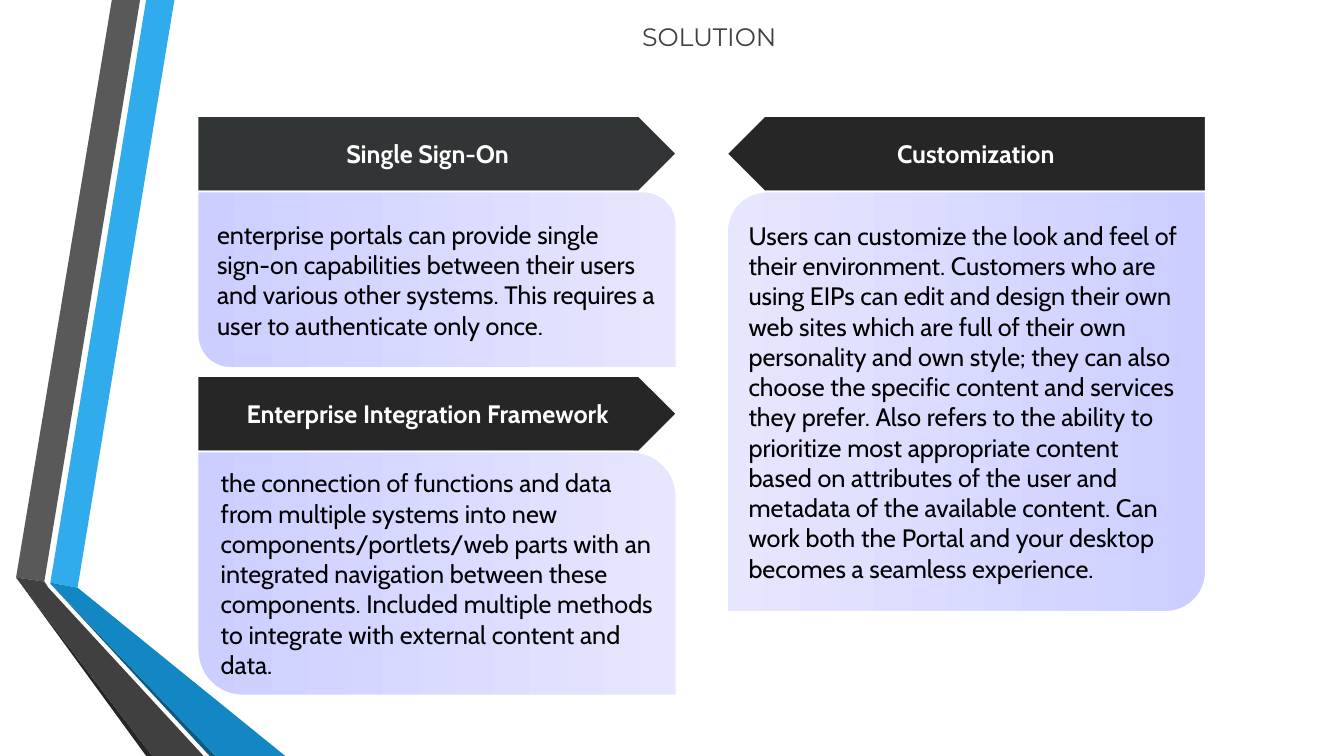
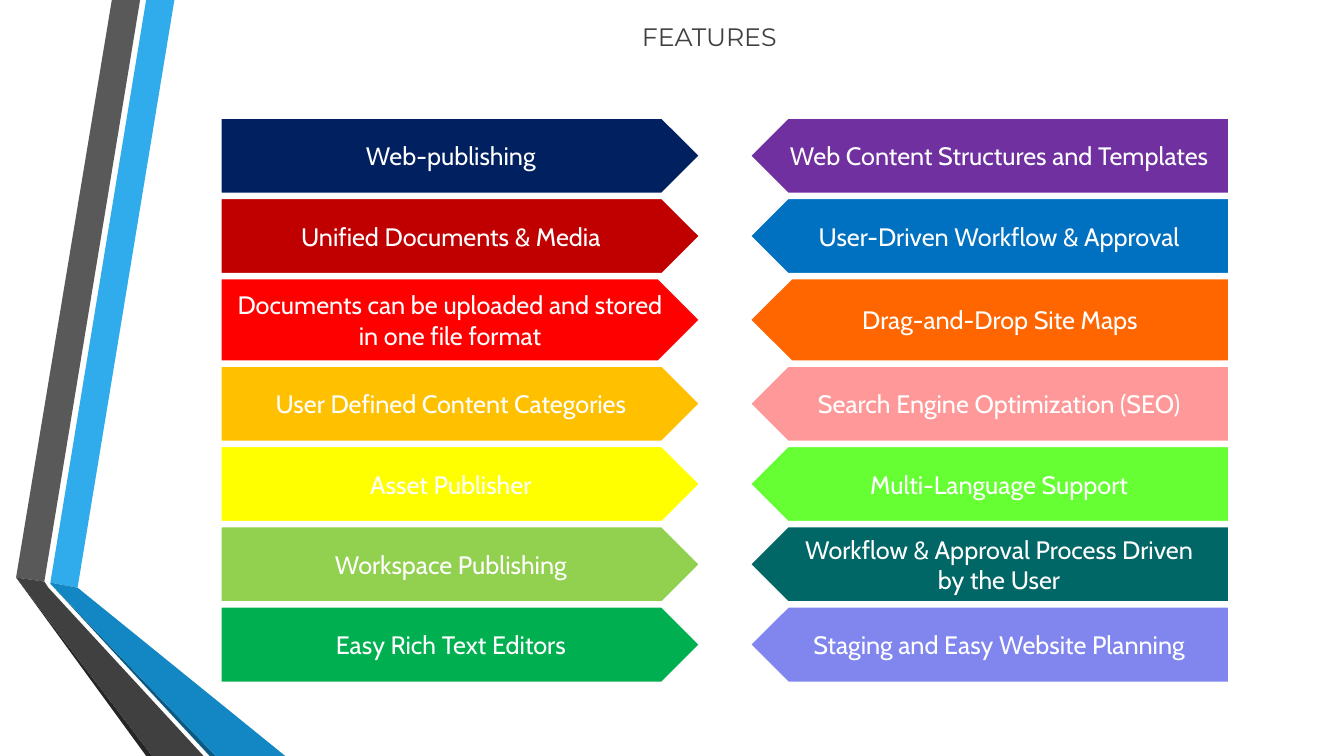
from pptx import Presentation
from pptx.dml.color import RGBColor
from pptx.enum.shapes import MSO_SHAPE as Preset
from pptx.enum.text import MSO_ANCHOR as Anchor, MSO_AUTO_SIZE as AutoSize, PP_ALIGN as Align
from pptx.util import Inches, Pt

WHITE = RGBColor(0xFF, 0xFF, 0xFF)
BLACK = RGBColor(0x00, 0x00, 0x00)
SKY = RGBColor(0x30, 0xAC, 0xEC)
BLUE = RGBColor(0x12, 0x87, 0xC3)
DEEP_BLUE = RGBColor(0x0C, 0x5A, 0x82)
GRAY = RGBColor(0x59, 0x59, 0x59)
DARK_GRAY = RGBColor(0x40, 0x40, 0x40)
CHARCOAL = RGBColor(0x26, 0x26, 0x26)
SLATE = RGBColor(0x32, 0x35, 0x36)
LAVENDER = RGBColor(0xCC, 0xCE, 0xFF)
PALE_LAVENDER = RGBColor(0xE6, 0xE6, 0xFF)
NAVY = RGBColor(0x00, 0x20, 0x60)
DARK_RED = RGBColor(0xC0, 0x00, 0x00)
RED = RGBColor(0xFF, 0x00, 0x00)
AMBER = RGBColor(0xFF, 0xC0, 0x00)
YELLOW = RGBColor(0xFF, 0xFF, 0x00)
LIME = RGBColor(0x92, 0xD0, 0x50)
GREEN = RGBColor(0x00, 0xB0, 0x50)
PURPLE = RGBColor(0x70, 0x30, 0xA0)
AZURE = RGBColor(0x00, 0x70, 0xC0)
ORANGE = RGBColor(0xFF, 0x66, 0x00)
PINK = RGBColor(0xFF, 0x99, 0x99)
NEON = RGBColor(0x66, 0xFF, 0x33)
TEAL = RGBColor(0x00, 0x66, 0x66)
PERIWINKLE = RGBColor(0x81, 0x86, 0xEF)

BODY_FONT, TITLE_FONT = "Cabin", "Montserrat"
ARROW_HEIGHT = 0.75
COLUMN_SHARE, GUTTER_SHARE = 0.475, 0.05

RIBBON = [
    (SKY, [(0.5, 5.78), (0.77, 5.83), (1.73, 0), (1.45, 0)]),
    (GRAY, [(1.39, 0), (1.11, 0), (0.16, 5.73), (0.44, 5.77)]),
    (CHARCOAL, [(0.16, 5.73), (1.45, 7.5), (1.51, 7.5)]),
    (DEEP_BLUE, [(0.5, 5.79), (2.08, 7.5), (2.14, 7.5)]),
    (BLUE, [(0.5, 5.79), (2.14, 7.5), (2.83, 7.5), (0.77, 5.83), (0.5, 5.78)]),
    (DARK_GRAY, [(2.02, 7.5), (0.48, 5.83), (0.44, 5.77), (0.16, 5.73), (1.51, 7.5)]),
]

SOLUTION_COLUMNS = [
    [
        ("Single Sign-On", SLATE, 1.75,
         "enterprise portals can provide single sign-on capabilities between their users "
         "and various other systems. This requires a user to authenticate only once."),
        ("Enterprise Integration Framework", CHARCOAL, 2.42,
         "the connection of functions and data from multiple systems into new "
         "components/portlets/web parts with an integrated navigation between these "
         "components. Included multiple methods to integrate with external content and data."),
    ],
    [
        ("Customization", CHARCOAL, 4.17,
         "Users can customize the look and feel of their environment. Customers who are "
         "using EIPs can edit and design their own web sites which are full of their own "
         "personality and own style; they can also choose the specific content and services "
         "they prefer. Also refers to the ability to prioritize most appropriate content "
         "based on attributes of the user and metadata of the available content. Can work "
         "both the Portal and your desktop becomes a seamless experience."),
    ],
]

FEATURE_HEIGHTS = [0.75, 0.75, 0.82, 0.75, 0.75, 0.75, 0.75]
FEATURE_COLUMNS = [
    [
        ("Web-publishing", NAVY),
        ("Unified Documents & Media", DARK_RED),
        ("Documents can be uploaded and stored\nin one file format", RED),
        ("User Defined Content Categories", AMBER),
        ("Asset Publisher", YELLOW),
        ("Workspace Publishing", LIME),
        ("Easy Rich Text Editors", GREEN),
    ],
    [
        ("Web Content Structures and Templates", PURPLE),
        ("User-Driven Workflow & Approval", AZURE),
        ("Drag-and-Drop Site Maps", ORANGE),
        ("Search Engine Optimization (SEO)", PINK),
        ("Multi-Language Support", NEON),
        ("Workflow & Approval Process Driven\nby the User", TEAL),
        ("Staging and Easy Website Planning", PERIWINKLE),
    ],
]


def write(frame, text, font=BODY_FONT, size=18, color=WHITE, bold=False, align=Align.CENTER):
    frame.text = text
    frame.word_wrap = True
    for paragraph in frame.paragraphs:
        paragraph.alignment = align
        for run in paragraph.runs:
            run.font.name = font
            run.font.size = Pt(size)
            run.font.bold = bold
            run.font.color.rgb = color


def place(slide, preset, box):
    shape = slide.shapes.add_shape(preset, *map(Inches, box))
    shape.shadow.inherit = False
    shape.line.color.rgb = WHITE
    shape.line.width = Pt(1.25)
    return shape


def add_arrow(slide, box, label, color, mirrored, bold=False):
    arrow = place(slide, Preset.PENTAGON, box)
    arrow.fill.solid()
    arrow.fill.fore_color.rgb = color
    if mirrored:
        arrow.element.spPr.get_or_add_xfrm().set("flipH", "1")
    write(arrow.text_frame, label, bold=bold)


def add_panel(slide, box, description, mirrored):
    panel = place(slide, Preset.ROUND_2_DIAG_RECTANGLE, box)
    corners = (0.095, 0) if mirrored else (0, 0.185)
    tints = (PALE_LAVENDER, LAVENDER) if mirrored else (LAVENDER, PALE_LAVENDER)
    for index, corner in enumerate(corners):
        panel.adjustments[index] = corner
    panel.fill.gradient()
    panel.fill.gradient_angle = 0
    for stop, tint in zip(panel.fill.gradient_stops, tints):
        stop.color.rgb = tint
    write(panel.text_frame, description, color=BLACK, align=Align.LEFT)


def column_span(box, index):
    left, _, width, _ = box
    return left + index * width * (COLUMN_SHARE + GUTTER_SHARE), width * COLUMN_SHARE


def add_solution(slide, box):
    _, top, _, height = box
    gap = height - sum(ARROW_HEIGHT + item[2] for item in SOLUTION_COLUMNS[0])
    for index, items in enumerate(SOLUTION_COLUMNS):
        left, width = column_span(box, index)
        y = top
        for heading, color, panel_height, description in items:
            add_arrow(slide, (left, y, width, ARROW_HEIGHT), heading, color, index == 1, bold=True)
            y += ARROW_HEIGHT
            add_panel(slide, (left, y, width, panel_height), description, index == 1)
            y += panel_height + gap


def add_features(slide, box):
    _, top, _, height = box
    gap = (height - sum(FEATURE_HEIGHTS)) / (len(FEATURE_HEIGHTS) - 1)
    for index, features in enumerate(FEATURE_COLUMNS):
        left, width = column_span(box, index)
        y = top
        for (label, color), row_height in zip(features, FEATURE_HEIGHTS):
            add_arrow(slide, (left, y, width, row_height), label, color, index == 1)
            y += row_height + gap


def add_title(slide, text):
    frame = slide.shapes.title.text_frame
    write(frame, text, font=TITLE_FONT, color=DARK_GRAY)
    frame.vertical_anchor = Anchor.TOP
    frame.auto_size = AutoSize.NONE
    heading = frame.paragraphs[0]
    heading.line_spacing = Pt(15)
    heading.space_before = Pt(7.5)
    heading.space_after = Pt(15)


def set_up_layout(layout, slide):
    title = next(iter(layout.placeholders))
    title.left, title.top, title.width, title.height = map(Inches, (2.66, 0.25, 8.75, 0.33))
    for color, outline in RIBBON:
        points = [(Inches(x), Inches(y)) for x, y in outline]
        builder = slide.shapes.build_freeform(*points[0])
        builder.add_line_segments(points[1:], close=True)
        band = builder.convert_to_shape()
        band.shadow.inherit = False
        band.fill.solid()
        band.fill.fore_color.rgb = color
        band.line.fill.background()
        layout.shapes.element.append(band.element)


def main():
    deck = Presentation()
    deck.slide_width, deck.slide_height = Inches(13.33), Inches(7.5)
    layout = deck.slide_layouts[5]

    solution = deck.slides.add_slide(layout)
    set_up_layout(layout, solution)
    add_title(solution, "SOLUTION")
    add_solution(solution, (1.96, 1.15, 10, 5.75))

    features = deck.slides.add_slide(layout)
    add_title(features, "FEATURES")
    add_features(features, (2.19, 1.17, 10, 5.6))

    deck.save("out.pptx")


if __name__ == "__main__":
    main()
